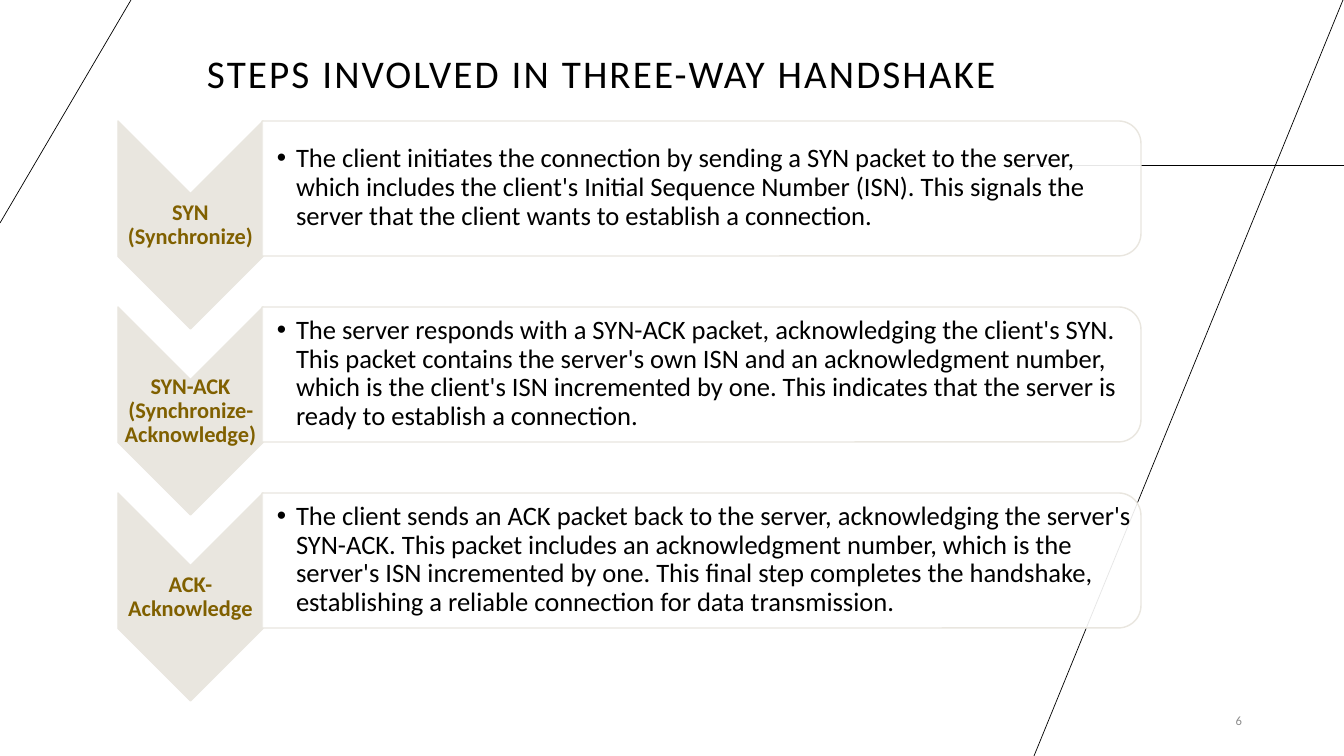
from lxml import etree
from pptx import Presentation, util as u
from pptx.dml.color import RGBColor
from pptx.enum import shapes, text
from pptx.oxml.ns import qn

TITLE = "STEPS INVOLVED IN THREE-WAY HANDSHAKE"
PAGE_NUMBER = "6"
STEPS = [
    ("SYN (Synchronize)",
     "The client initiates the connection by sending a SYN packet to the server, "
     "which includes the client's Initial Sequence Number (ISN). This signals the "
     "server that the client wants to establish a connection."),
    ("SYN-ACK (Synchronize-Acknowledge)",
     "The server responds with a SYN-ACK packet, acknowledging the client's SYN. "
     "This packet contains the server's own ISN and an acknowledgment number, "
     "which is the client's ISN incremented by one. This indicates that the server "
     "is ready to establish a connection."),
    ("ACK- Acknowledge",
     "The client sends an ACK packet back to the server, acknowledging the server's "
     "SYN-ACK. This packet includes an acknowledgment number, which is the server's "
     "ISN incremented by one. This final step completes the handshake, establishing "
     "a reliable connection for data transmission."),
]
COLORS = {"black": "000000", "white": "FFFFFF", "sand": "E9E6DF",
          "olive": "806000", "grey": "8C8C8C"}
FONT = "Calibri"

# Layout in px
WIDTH, HEIGHT = 1344, 756
EMU_PER_PX = 12192000 / WIDTH
BACK_LINES = [(1003, 165, 1344, 165), (1343, 0, 1034, 756), (0, 223, 131, 0)]
FIRST_TOP, PITCH = 121, 186
CHEVRON_LEFT, CHEVRON_W, CHEVRON_H = 118, 145, 208
PANEL_LEFT, PANEL_W, PANEL_H = 262, 879, 135


def px(length):
    return u.Emu(round(length * EMU_PER_PX))


def color(name):
    return RGBColor.from_string(COLORS[name])


def add_text(page, words, left, top, width, height, *, size, ink="black", bold=False,
             align=text.PP_ALIGN.LEFT, anchor=text.MSO_ANCHOR.MIDDLE,
             insets=(10, 5, 10, 5), line_spacing=0.9, tracking=0, bullet_indent=0):
    box = page.shapes.add_textbox(px(left), px(top), px(width), px(height))
    frame = box.text_frame
    frame.word_wrap = True
    frame.vertical_anchor = anchor
    (frame.margin_left, frame.margin_top,
     frame.margin_right, frame.margin_bottom) = map(px, insets)
    para = frame.paragraphs[0]
    para.alignment = align
    para.line_spacing = line_spacing
    if bullet_indent:
        props = para._p.get_or_add_pPr()
        props.set("marL", str(px(bullet_indent)))
        props.set("indent", str(-px(bullet_indent)))
        etree.SubElement(props, qn("a:buFont"), typeface="Arial")
        etree.SubElement(props, qn("a:buChar"), char="•")
    span = para.add_run()
    span.text = words
    span.font.name = FONT
    span.font.size = u.Pt(size)
    span.font.bold = bold
    span.font.color.rgb = color(ink)
    if tracking:
        span._r.get_or_add_rPr().set("spc", str(tracking))


def add_turned_shape(page, kind, left, top, width, height, fill, alpha=100):
    """Place a shape turned by 90 degrees so that it covers the given area."""
    shift = (width - height) / 2
    shape = page.shapes.add_shape(kind, px(left + shift), px(top - shift),
                                  px(height), px(width))
    shape.rotation = 90
    shape.shadow.inherit = False
    shape.fill.solid()
    shape.fill.fore_color.rgb = color(fill)
    shape.line.color.rgb = color("sand")
    shape.line.width = u.Pt(1)
    if alpha < 100:
        tint = shape._element.spPr.find(qn("a:solidFill"))[0]
        etree.SubElement(tint, qn("a:alpha"), val=str(alpha * 1000))


def add_line(page, x1, y1, x2, y2):
    line = page.shapes.add_connector(shapes.MSO_CONNECTOR.STRAIGHT,
                                     px(x1), px(y1), px(x2), px(y2))
    line.line.color.rgb = color("black")
    line.line.width = u.Pt(0.5)
    etree.SubElement(line._element.spPr, qn("a:effectLst"))


def add_step(page, top, label, body):
    add_turned_shape(page, shapes.MSO_SHAPE.CHEVRON, CHEVRON_LEFT, top,
                     CHEVRON_W, CHEVRON_H, "sand")
    add_text(page, label, CHEVRON_LEFT, top + 73, CHEVRON_W, 62, size=16, ink="olive",
             bold=True, align=text.PP_ALIGN.CENTER, insets=(1, 1, 1, 1))
    add_turned_shape(page, shapes.MSO_SHAPE.ROUND_2_SAME_RECTANGLE, PANEL_LEFT, top,
                     PANEL_W, PANEL_H, "white", alpha=90)
    add_text(page, body, PANEL_LEFT, top + 6, PANEL_W - 7, PANEL_H - 13, size=19,
             insets=(15, 1, 1, 1), bullet_indent=19)


def main():
    deck = Presentation()
    deck.slide_width, deck.slide_height = px(WIDTH), px(HEIGHT)
    page = deck.slides.add_slide(deck.slide_layouts[6])

    # Background lines
    for ends in BACK_LINES:
        add_line(page, *ends)

    # Title
    add_text(page, TITLE, 197, 20, 944, 82, size=28, tracking=150,
             anchor=text.MSO_ANCHOR.BOTTOM)

    # Handshake steps
    for index, (label, body) in enumerate(STEPS):
        add_step(page, FIRST_TOP + index * PITCH, label, body)

    # Page number
    add_text(page, PAGE_NUMBER, 1143, 701, 109, 40, size=9, ink="grey",
             align=text.PP_ALIGN.RIGHT, line_spacing=1.0)

    deck.save("out.pptx")


if __name__ == "__main__":
    main()
